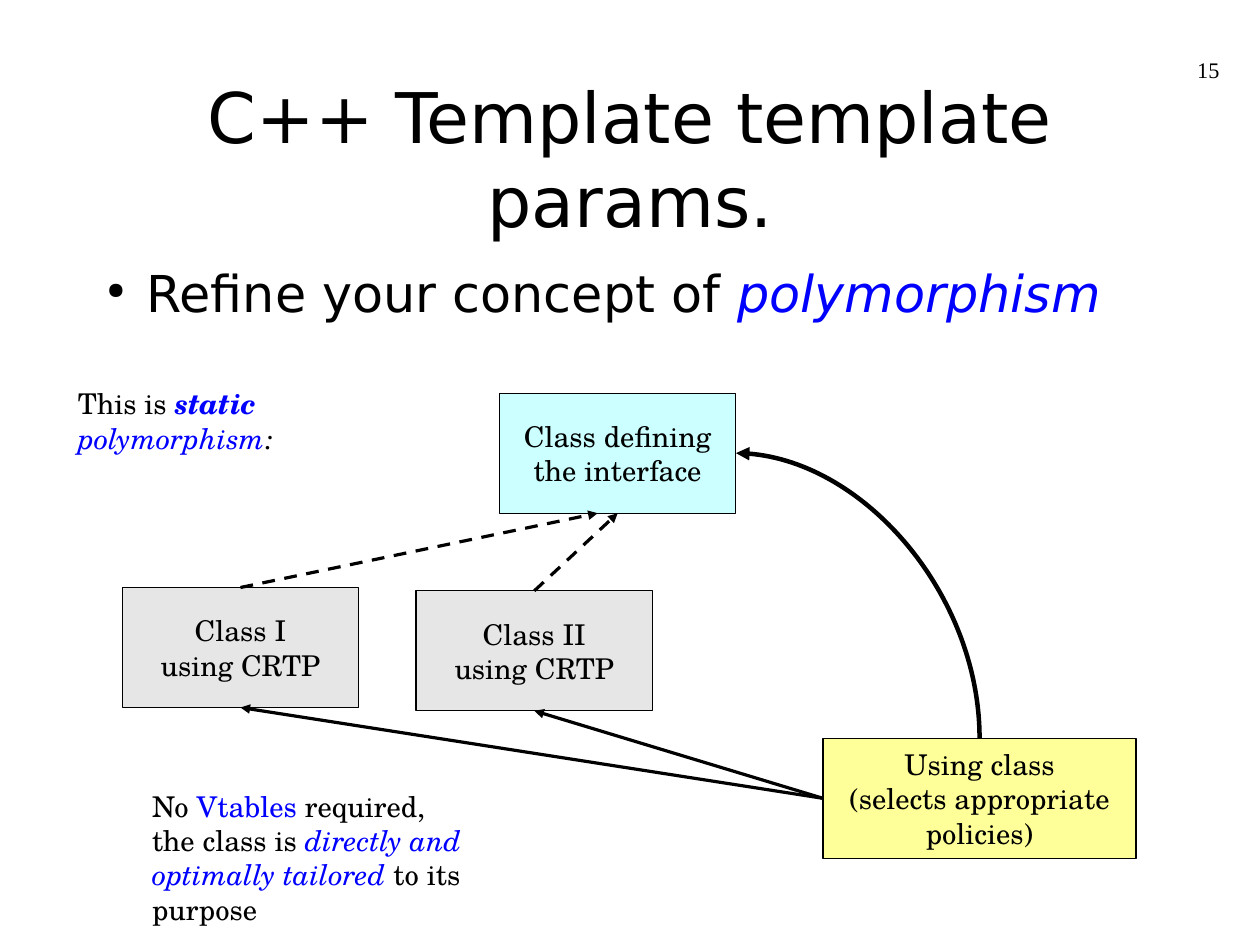
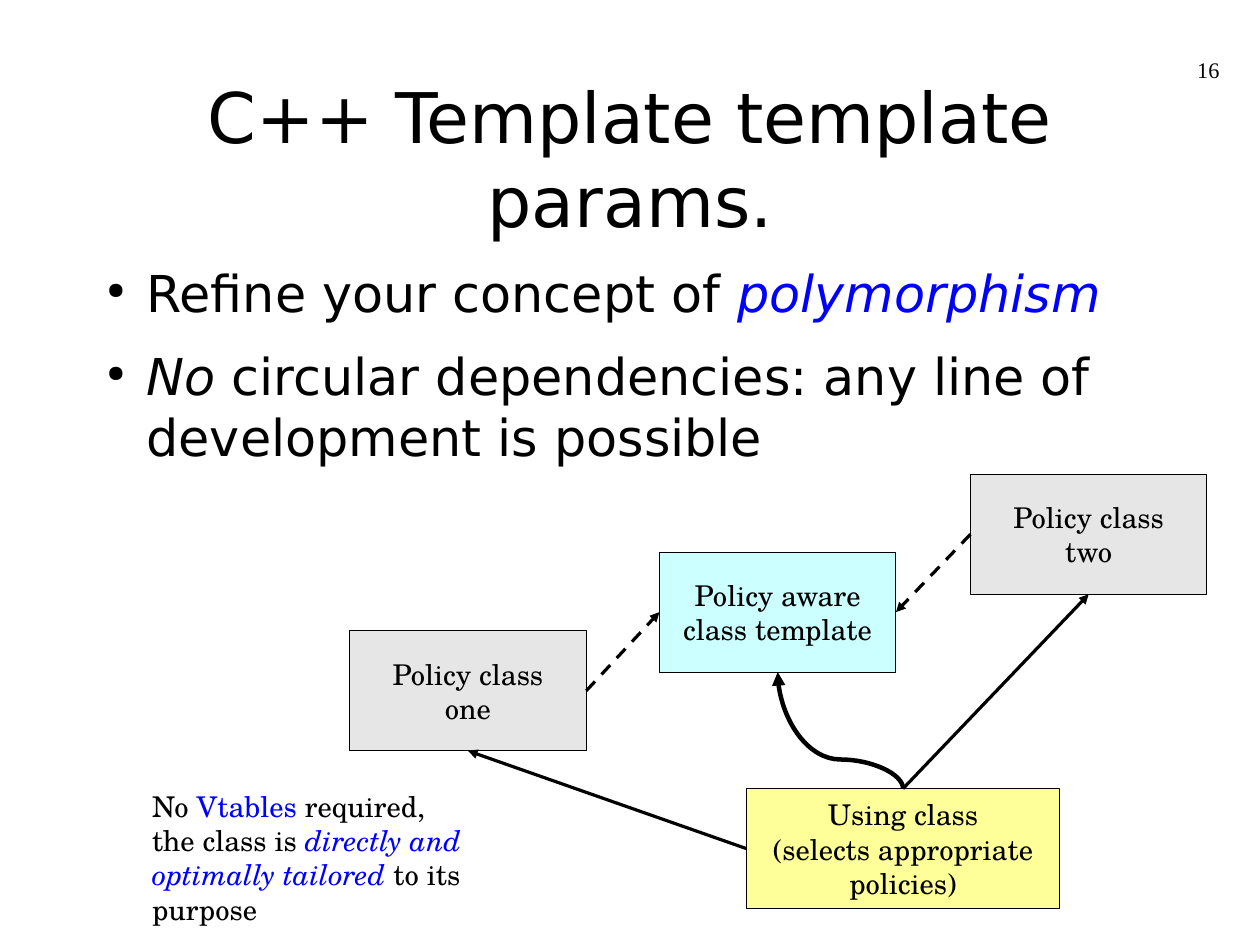
"""Build two slides on static polymorphism with C++ template parameters."""
from dataclasses import dataclass
from typing import Optional

from lxml import etree
from pptx import Presentation
from pptx import util as u
from pptx.dml import color
from pptx.enum import dml, shapes, text
from pptx.oxml import ns

BLACK, BLUE = "000000", "0000FF"
CYAN, GREY, YELLOW = "CCFFFF", "E6E6E6", "FFFF99"
SANS, SCHOLA, SERIF = "DejaVu Sans", "TeX Gyre Schola", "Times New Roman"
TITLE = "C++ Template template params."
BOX_HEIGHT, CLASS_WIDTH, USER_WIDTH = 75.6, 149, 197.3
TOP, LEFT, BOTTOM, RIGHT = range(4)
HAIRLINE, THICK = 0, 2.83


@dataclass(frozen=True)
class Span:
    text: str
    color: str = BLACK
    italic: bool = False
    bold: bool = False


@dataclass(frozen=True)
class Frame:
    left: float
    top: float
    width: float
    height: float


@dataclass(frozen=True)
class Box:
    name: str
    text: str
    left: float
    top: float
    fill: str
    width: float = CLASS_WIDTH


@dataclass(frozen=True)
class Link:
    source: str
    source_site: int
    target: str
    target_site: int
    dashed: bool = False
    curve: Optional[str] = None
    adjustment: Optional[int] = None
    end_shift: float = 0


@dataclass(frozen=True)
class Note:
    frame: Frame
    lines: list


@dataclass(frozen=True)
class Page:
    number: int
    bullets: list
    boxes: list
    links: list
    notes: list


TITLE_FRAME = Frame(58.3, 47.5, 677.5, 103)
BODY_FRAME = Frame(58.3, 164.9, 677.5, 387.4)
NUMBER_FRAME = Frame(583.2, 35.3, 185, 41)

REFINE = [Span("Refine your concept of "), Span("polymorphism", BLUE, True)]
NO_CIRCLES = [Span("No ", italic=True),
              Span("circular dependencies: any line of development is possible")]
VTABLES = Note(Frame(95.8, 496.8, 216, 98), [
    [Span("No "), Span("Vtables", BLUE), Span(" required,")],
    [Span("the class is "), Span("directly and", BLUE, True)],
    [Span("optimally tailored", BLUE, True), Span(" to its ")],
    [Span("purpose")],
])
STATIC = Note(Frame(49, 243.4, 150, 49), [
    [Span("This is "), Span("static", BLUE, True, True)],
    [Span("polymorphism", BLUE, True), Span(":", italic=True)],
])


def user_box(left: float, top: float) -> Box:
    """Describe the yellow box of the class that selects policies."""
    return Box("user", "Using class\n(selects appropriate\npolicies)", left, top, YELLOW, USER_WIDTH)


PAGES = [
    Page(
        15,
        [REFINE],
        [
            Box("interface", "Class defining\nthe interface", 314.6, 247.7, CYAN),
            Box("first", "Class I\nusing CRTP", 77, 370.1, GREY),
            Box("second", "Class II\nusing CRTP", 262.1, 372.2, GREY),
            user_box(518.4, 465.1),
        ],
        [
            Link("first", TOP, "interface", BOTTOM, dashed=True, end_shift=-12.6),
            Link("second", TOP, "interface", BOTTOM, dashed=True),
            Link("user", TOP, "interface", RIGHT, curve="curvedConnector2"),
            Link("user", LEFT, "first", BOTTOM),
            Link("user", LEFT, "second", BOTTOM),
        ],
        [VTABLES, STATIC],
    ),
    Page(
        16,
        [REFINE, NO_CIRCLES],
        [
            Box("first", "Policy class\none", 220.3, 397.4, GREY),
            Box("second", "Policy class\ntwo", 611.3, 298.8, GREY),
            user_box(470.2, 496.8),
            Box("template", "Policy aware\nclass template", 415.4, 347.8, CYAN),
        ],
        [
            Link("first", RIGHT, "template", LEFT, dashed=True),
            Link("second", LEFT, "template", RIGHT, dashed=True),
            Link("user", TOP, "template", BOTTOM, curve="curvedConnector3", adjustment=25000),
            Link("user", LEFT, "first", BOTTOM),
            Link("user", TOP, "second", BOTTOM),
        ],
        [VTABLES],
    ),
]


def rgb(value: str) -> color.RGBColor:
    """Turn a hex string into a colour."""
    return color.RGBColor.from_string(value)


def add_xml(parent, tag: str, **attributes: str):
    """Append a drawing element to a parent element."""
    return etree.SubElement(parent, ns.qn(f"a:{tag}"), attributes)


def style_run(run, font: str, size: float, span: Span) -> None:
    """Format one run after its span."""
    run.font.name, run.font.size = font, u.Pt(size)
    run.font.color.rgb = rgb(span.color)
    run.font.italic, run.font.bold = span.italic, span.bold


def clear_frame(shape, anchor) -> None:
    """Remove the margins of a shape's text and set its anchor."""
    frame = shape.text_frame
    frame.margin_left = frame.margin_top = frame.margin_right = frame.margin_bottom = 0
    frame.word_wrap, frame.auto_size = True, text.MSO_AUTO_SIZE.NONE
    frame.vertical_anchor = anchor


def style_plain(shape, font: str, size: float, align) -> None:
    """Format all text of a shape alike."""
    for paragraph in shape.text_frame.paragraphs:
        paragraph.alignment = align
        for run in paragraph.runs:
            style_run(run, font, size, Span(run.text))


def add_text(slide, frame: Frame):
    """Add an empty text box without margins."""
    shape = slide.shapes.add_textbox(u.Pt(frame.left), u.Pt(frame.top), u.Pt(frame.width), u.Pt(frame.height))
    clear_frame(shape, text.MSO_ANCHOR.TOP)
    return shape


def add_rich_text(slide, frame: Frame, lines: list, font: str, size: float):
    """Add a text box with mixed formatting."""
    shape = add_text(slide, frame)
    for index, spans in enumerate(lines):
        text_frame = shape.text_frame
        paragraph = text_frame.add_paragraph() if index else text_frame.paragraphs[0]
        for span in spans:
            run = paragraph.add_run()
            run.text = span.text
            style_run(run, font, size, span)
    return shape


def add_title(slide) -> None:
    """Place and format the title placeholder."""
    title = slide.shapes.title
    title.left, title.top = u.Pt(TITLE_FRAME.left), u.Pt(TITLE_FRAME.top)
    title.width, title.height = u.Pt(TITLE_FRAME.width), u.Pt(TITLE_FRAME.height)
    title.text_frame.text = TITLE
    clear_frame(title, text.MSO_ANCHOR.MIDDLE)
    style_plain(title, SANS, 44, text.PP_ALIGN.CENTER)


def add_bullets(slide, bullets: list) -> None:
    """Add the bulleted statements."""
    body = add_rich_text(slide, BODY_FRAME, bullets, SANS, 32)
    for paragraph in body.text_frame.paragraphs:
        paragraph.space_after = u.Pt(14.1)
        properties = paragraph._p.get_or_add_pPr()
        properties.set("marL", str(u.Pt(34)))
        properties.set("indent", str(u.Pt(-25)))
        add_xml(add_xml(properties, "buClr"), "srgbClr", val=BLACK)
        add_xml(properties, "buSzPct", val="45000")
        add_xml(properties, "buChar", char="●")


def add_number(slide, number: int) -> None:
    """Add the page number at the top right."""
    shape = add_text(slide, NUMBER_FRAME)
    shape.text_frame.text = str(number)
    style_plain(shape, SERIF, 14, text.PP_ALIGN.RIGHT)


def add_box(slide, box: Box):
    """Add one class box."""
    shape = slide.shapes.add_shape(shapes.MSO_SHAPE.RECTANGLE, u.Pt(box.left), u.Pt(box.top),
                                   u.Pt(box.width), u.Pt(BOX_HEIGHT))
    shape.shadow.inherit = False
    shape.fill.solid()
    shape.fill.fore_color.rgb = rgb(box.fill)
    shape.line.color.rgb, shape.line.width = rgb(BLACK), u.Pt(HAIRLINE)
    shape.text_frame.text = box.text
    clear_frame(shape, text.MSO_ANCHOR.MIDDLE)
    style_plain(shape, SCHOLA, 18, text.PP_ALIGN.CENTER)
    return shape


def bend(connector, link: Link) -> None:
    """Turn a curved connector so that it leaves its source upwards."""
    left, top, width, height = connector.left, connector.top, connector.width, connector.height
    connector.left, connector.top = left + (width - height) // 2, top + (height - width) // 2
    connector.width, connector.height = height, width
    properties = connector.element.spPr
    transform = properties.find(ns.qn("a:xfrm"))
    transform.attrib.pop("flipH", None)
    transform.set("rot", str(270 * 60000))
    transform.set("flipV", "1")
    geometry = properties.find(ns.qn("a:prstGeom"))
    geometry.set("prst", link.curve)
    if link.adjustment is not None:
        add_xml(geometry.find(ns.qn("a:avLst")), "gd", name="adj1", fmla=f"val {link.adjustment}")


def add_link(slide, link: Link, boxes: dict) -> None:
    """Connect two class boxes with an arrow."""
    kind = shapes.MSO_CONNECTOR.CURVE if link.curve else shapes.MSO_CONNECTOR.STRAIGHT
    connector = slide.shapes.add_connector(kind, 0, 0, 0, 0)
    target = boxes[link.target]
    connector.begin_connect(boxes[link.source], link.source_site)
    if link.end_shift:
        connector.end_x = target.left + target.width // 2 + u.Pt(link.end_shift)
        connector.end_y = target.top + target.height
    else:
        connector.end_connect(target, link.target_site)
    if link.curve:
        bend(connector, link)
    connector.line.color.rgb = rgb(BLACK)
    connector.line.width = u.Pt(THICK if link.curve else HAIRLINE)
    if link.dashed:
        connector.line.dash_style = dml.MSO_LINE.DASH
    properties = connector.element.spPr
    add_xml(properties.find(ns.qn("a:ln")), "tailEnd", type="triangle")
    add_xml(properties, "effectLst")


def add_page(presentation, page: Page) -> None:
    """Add one slide with its statements and class diagram."""
    slide = presentation.slides.add_slide(presentation.slide_layouts[5])
    add_title(slide)
    add_bullets(slide, page.bullets)
    boxes = {box.name: add_box(slide, box) for box in page.boxes}
    for link in page.links:
        add_link(slide, link, boxes)
    for note in page.notes:
        add_rich_text(slide, note.frame, note.lines, SCHOLA, 18)
    add_number(slide, page.number)


def main() -> None:
    """Build and save the presentation."""
    presentation = Presentation()
    presentation.slide_width, presentation.slide_height = u.Pt(793.7), u.Pt(595.3)
    for page in PAGES:
        add_page(presentation, page)
    presentation.save("out.pptx")


main()
